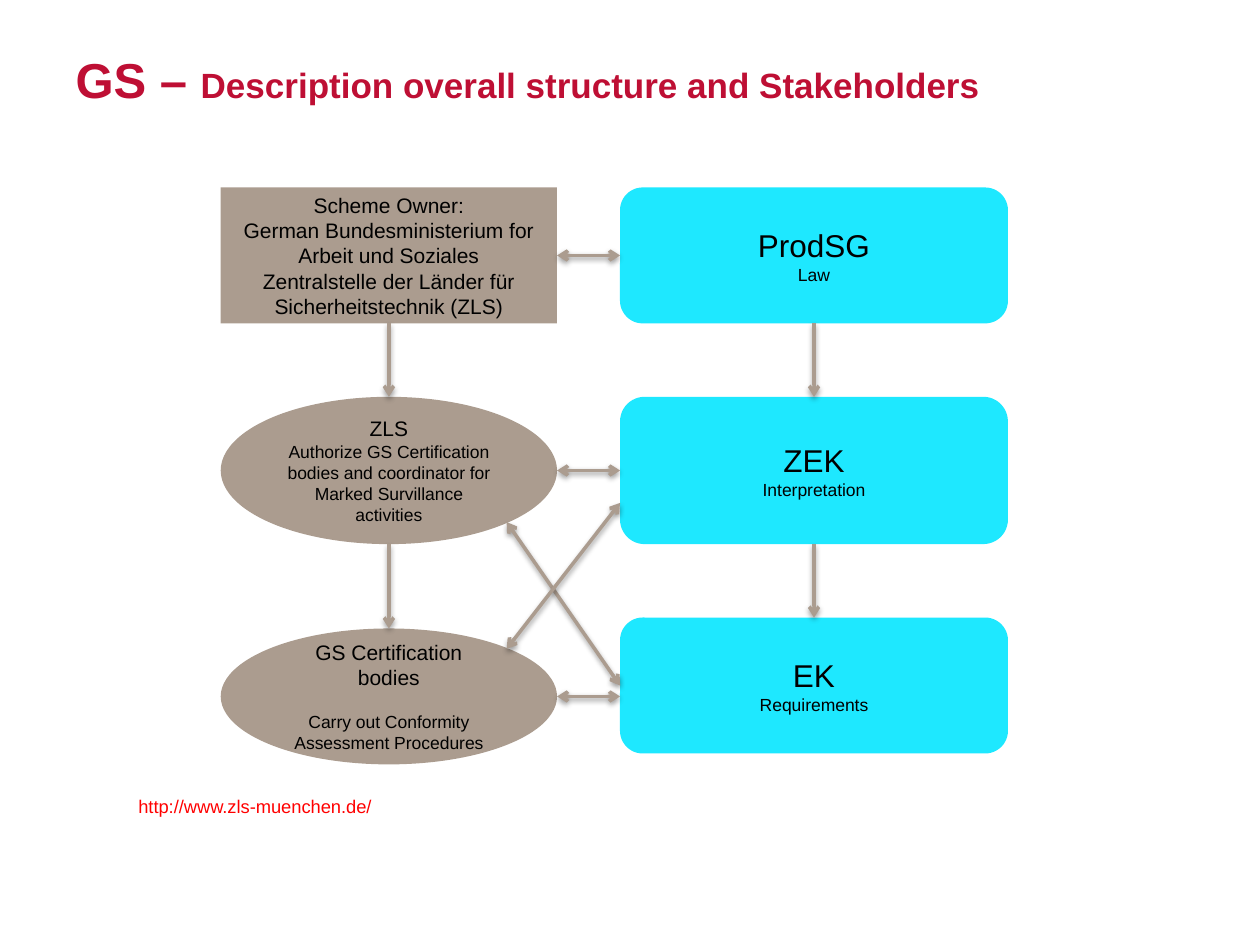
from lxml import etree
from pptx import Presentation
from pptx import util as u
from pptx.dml.color import RGBColor
from pptx.enum import shapes, text
from pptx.oxml import parse_xml
from pptx.oxml.ns import qn

COLORS = {"title": "BE0F34", "law": "1EE8FF", "body": "AB9C8F", "text": "000000", "link": "FF0000"}
NS = "http://schemas.openxmlformats.org/drawingml/2006/main"
SHADOW = (f'<a:effectLst xmlns:a="{NS}"><a:outerShdw blurRad="40000" dist="20000" dir="5400000" '
          'rotWithShape="0"><a:srgbClr val="000000"><a:alpha val="38000"/></a:srgbClr>'
          '</a:outerShdw></a:effectLst>')


class Deck:
    """Hold the style and the current slide, and draw each kind of element."""

    def __init__(self, prs):
        self.font = "Arial"
        self.s = prs.slides.add_slide(prs.slide_layouts[5])

    def color(self, name):
        return RGBColor.from_string(COLORS[name])

    def run(self, p, content, size, color="text", bold=False):
        r = p.add_run()
        r.text = content
        for key, value in {"name": self.font, "size": u.Pt(size), "bold": bold}.items():
            setattr(r.font, key, value)
        r.font.color.rgb = self.color(color)

    def title(self, box, runs):
        sp = self.s.shapes.title
        for key, value in zip(("left", "top", "width", "height"), box):
            setattr(sp, key, u.Cm(value))
        tf = sp.text_frame
        for key, value in {"vertical_anchor": text.MSO_ANCHOR.MIDDLE, "word_wrap": True,
                           "auto_size": text.MSO_AUTO_SIZE.NONE}.items():
            setattr(tf, key, value)
        p = tf.paragraphs[0]
        p.alignment = text.PP_ALIGN.LEFT
        for content, size in runs:
            self.run(p, content, size, "title", True)

    def note(self, box, content, size, color):
        tf = self.s.shapes.add_textbox(*map(u.Cm, box)).text_frame
        tf.word_wrap = True
        tf.auto_size = text.MSO_AUTO_SIZE.SHAPE_TO_FIT_TEXT
        self.run(tf.paragraphs[0], content, size, color)

    def node(self, kind, box, fill, lines, gap=0):
        sp = self.s.shapes.add_shape(kind, *map(u.Cm, box))
        sp.shadow.inherit = False
        sp.fill.solid()
        sp.fill.fore_color.rgb = self.color(fill)
        sp.line.fill.background()
        tf = sp.text_frame
        tf.word_wrap = True
        tf.vertical_anchor = text.MSO_ANCHOR.MIDDLE
        for i, (content, size) in enumerate(lines):
            p = tf.add_paragraph() if i else tf.paragraphs[0]
            p.alignment = text.PP_ALIGN.CENTER
            if i and gap:
                p.space_before = u.Pt(gap)
            self.run(p, content, size)
        return sp

    def arrow(self, start, end, double=False):
        ends = [int(edge) for sp, fx, fy in (start, end)
                for edge in (sp.left + fx * sp.width, sp.top + fy * sp.height)]
        cx = self.s.shapes.add_connector(shapes.MSO_CONNECTOR.STRAIGHT, *ends)
        cx.line.color.rgb = self.color("body")
        cx.line.width = u.Pt(2)
        for tag in ("a:headEnd", "a:tailEnd") if double else ("a:tailEnd",):
            etree.SubElement(cx.line._get_or_add_ln(), qn(tag), type="arrow")
        cx._element.spPr.append(parse_xml(SHADOW))


def main():
    prs = Presentation()
    prs.slide_width, prs.slide_height = u.Cm(25.4), u.Cm(19.05)
    d = Deck(prs)
    d.title((1.27, 0.76, 22.86, 1.68), [("GS – ", 28), ("Description overall structure and Stakeholders", 20)])
    d.note((2.54, 15.9, 20.96, 0.71), "http://www.zls-muenchen.de/", 10.5, "link")

    rect, oval, rounded = (getattr(shapes.MSO_SHAPE, k) for k in ("RECTANGLE", "OVAL", "ROUNDED_RECTANGLE"))
    rows = [(3.78, 2.74), (8, 2.97), (12.45, 2.74)]
    laws = [d.node(rounded, (12.5, top, 7.82, height), "law", [(name, 18), (role, 10)])
            for (top, height), name, role in zip(rows, ("ProdSG", "ZEK", "EK"),
                                                 ("Law", "Interpretation", "Requirements"))]
    bodies = [d.node(kind, (4.45, top, 6.78, height), "body", lines, gap)
              for kind, top, height, lines, gap in (
        (rect, *rows[0], [("Scheme Owner:", 12),
                          ("German Bundesministerium for Arbeit und Soziales", 12),
                          ("Zentralstelle der Länder für Sicherheitstechnik (ZLS)", 12)], 0),
        (oval, *rows[1], [("ZLS", 12), ("Authorize GS Certification bodies and coordinator for "
                                        "Marked Survillance activities", 10)], 0),
        (oval, 12.67, 2.74, [("GS Certification bodies", 12),
                             ("Carry out Conformity Assessment Procedures", 10)], 12))]

    for column in (laws, bodies):
        for upper, lower in zip(column, column[1:]):
            d.arrow((upper, 0.5, 1), (lower, 0.5, 0))
    for body, law in zip(bodies, laws):
        middle = (body.top + body.height / 2 - law.top) / law.height
        d.arrow((body, 1, 0.5), (law, 0, middle), True)
    d.arrow((laws[2], 0, 0.5), (bodies[1], 0.85, 0.85), True)
    d.arrow((bodies[2], 0.85, 0.15), (laws[1], 0, 0.72), True)
    prs.save("out.pptx")


if __name__ == "__main__":
    main()
